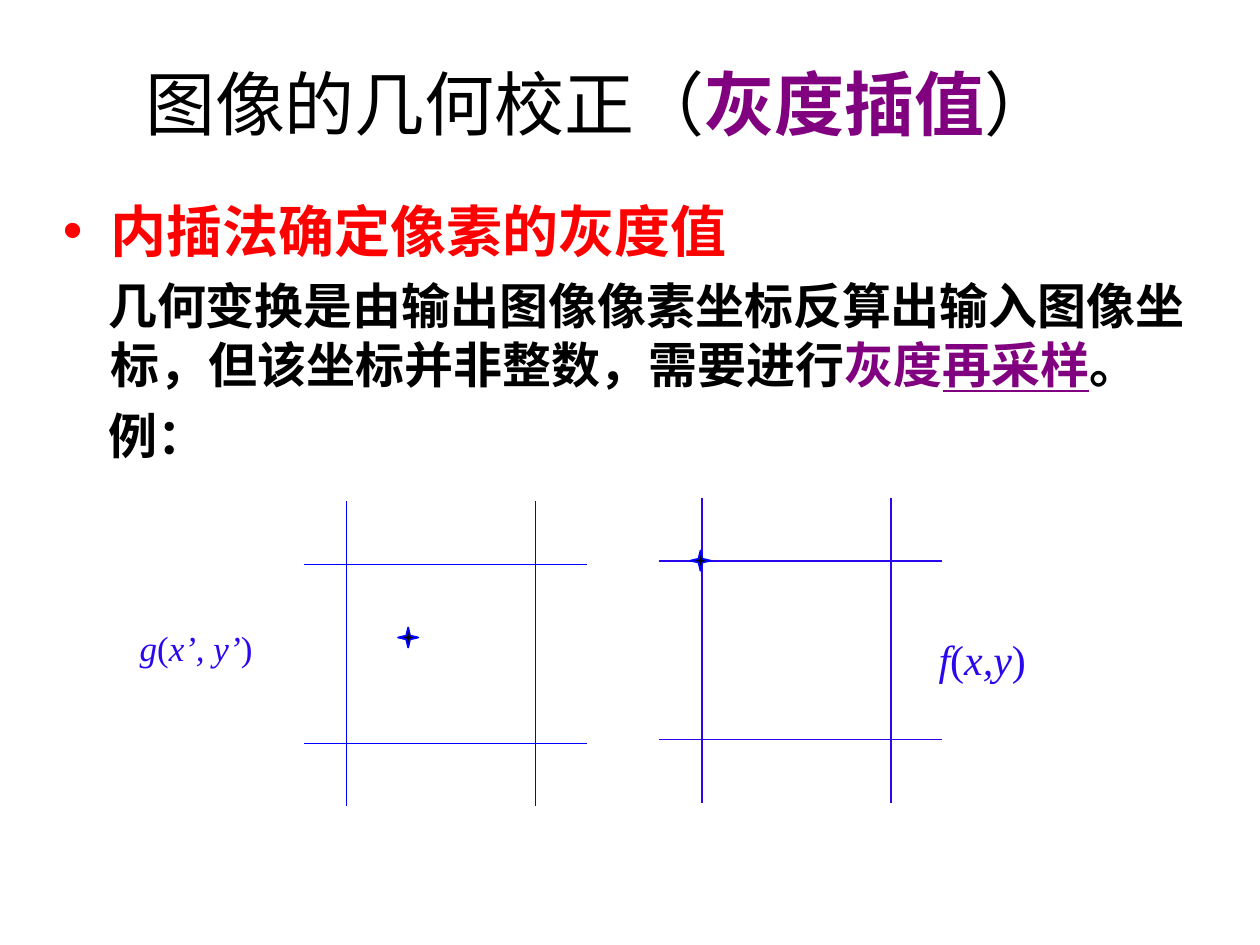
from lxml import etree
from pptx import Presentation
from pptx.dml.color import RGBColor
from pptx.enum.shapes import MSO_CONNECTOR
from pptx.enum.text import MSO_ANCHOR, PP_ALIGN
from pptx.oxml.ns import qn
from pptx.util import Inches, Pt

STRAIGHT = MSO_CONNECTOR.STRAIGHT
MIDDLE = MSO_ANCHOR.MIDDLE
CENTER, LEFT = PP_ALIGN.CENTER, PP_ALIGN.LEFT
BLACK, RED, PURPLE = "000000", "FF0000", "800080"
BLUE, INDIGO = "0000FF", "2908F0"
SANS, CJK, SERIF = "Calibri", "Noto Sans CJK SC", "Times New Roman"

# Content: runs are (text, options)
TITLE = [
    ("图像的几何校正（", dict(color=BLACK)),
    ("灰度插值", dict(color=PURPLE, bold=True)),
    ("）", dict(color=BLACK)),
]
BODY = [
    dict(size=32, bullet=RED, indent=-0.38, before=0,
         runs=[("内插法确定像素的灰度值", dict(color=RED))]),
    dict(size=28, indent=-0.02, before=7, runs=[
        ("几何变换是由输出图像像素坐标反算出输入图像坐标，但该坐标并非整数，需要进行",
         dict(color=BLACK)),
        ("灰度", dict(color=PURPLE)),
        ("再采样", dict(color=PURPLE, underline=True)),
        ("。", dict(color=BLACK)),
    ]),
    dict(size=28, indent=-0.02, before=7, runs=[("例：", dict(color=BLACK))]),
]
LABELS = [
    # box, size, runs as (text, italic)
    ((1.01, 4.92, 1.25, 0.44), 20,
     [("g", True), ("(", False), ("x’, y’", True), (")", False)]),
    ((7.35, 4.98, 0.98, 0.5), 24,
     [("f", True), ("(", False), ("x,y", True), (")", False)]),
]
GRIDS = [
    # left and top of the grid, line colour, star centre
    (2.41, 3.98, BLUE, (3.24, 5.06)),
    (5.23, 3.95, INDIGO, (5.56, 4.45)),
]
GRID_WIDTH, GRID_HEIGHT = 2.25, 2.42
COLUMNS, ROWS = (0.34, 1.84), (0.5, 1.92)
STAR_OUTER, STAR_INNER = 0.08, 0.015


def rgb(value):
    return RGBColor.from_string(value)


def add_box(left, top, width, height, wrap=True):
    box = page.shapes.add_textbox(*map(Inches, (left, top, width, height)))
    box.text_frame.word_wrap = wrap
    return box.text_frame


def add_runs(para, runs):
    for text, options in runs:
        span = para.add_run()
        span.text = text
        span.font.color.rgb = rgb(options["color"])
        for name in ("bold", "italic", "underline"):
            if name in options:
                setattr(span.font, name, options[name])
        east_asian = etree.SubElement(span.font._element.get_or_add_rPr()
                                      if hasattr(span.font._element, "get_or_add_rPr")
                                      else span.font._element, qn("a:ea"))
        east_asian.set("typeface", CJK)


def set_indent(para, indent, bullet=None):
    props = para._p.get_or_add_pPr()
    props.set("marL", str(Inches(0.38)))
    props.set("indent", str(Inches(indent)))
    if bullet:
        colour = etree.SubElement(props, qn("a:buClr"))
        etree.SubElement(colour, qn("a:srgbClr")).set("val", bullet)
        etree.SubElement(props, qn("a:buFont")).set("typeface", "Arial")
        etree.SubElement(props, qn("a:buChar")).set("char", "•")
    else:
        etree.SubElement(props, qn("a:buNone"))


def add_line(start, end, color):
    line = page.shapes.add_connector(STRAIGHT, *map(Inches, start + end))
    line.line.color.rgb = rgb(color)
    line.line.width = Pt(1)
    etree.SubElement(line._element.spPr, qn("a:effectLst"))


def add_star(x, y):
    a, b = STAR_OUTER, STAR_INNER
    offsets = [(-a, 0), (-b, -b), (0, -a), (b, -b), (a, 0), (b, b), (0, a), (-b, b)]
    points = [(Inches(x + dx), Inches(y + dy)) for dx, dy in offsets]
    builder = page.shapes.build_freeform(*points[0])
    builder.add_line_segments(points[1:], close=True)
    star = builder.convert_to_shape()
    star.shadow.inherit = False
    star.fill.solid()
    star.fill.fore_color.rgb = rgb(BLACK)
    star.line.color.rgb = rgb(BLUE)
    star.line.width = Pt(1)


deck = Presentation()
deck.slide_width, deck.slide_height = Inches(10), Inches(7.5)
page = deck.slides.add_slide(deck.slide_layouts[6])

# Pixel grids with the sampled point
for left, top, color, star_centre in GRIDS:
    for row in ROWS:
        add_line((left, top + row), (left + GRID_WIDTH, top + row), color)
    for column in COLUMNS:
        add_line((left + column, top), (left + column, top + GRID_HEIGHT), color)
    add_star(*star_centre)

# Function labels
for place, size, parts in LABELS:
    para = add_box(*place, wrap=False).paragraphs[0]
    para.alignment = LEFT
    para.font.size, para.font.name = Pt(size), SERIF
    add_runs(para, [(text, dict(color=INDIGO, italic=italic)) for text, italic in parts])

# Title
frame = add_box(0.26, 0.19, 9, 1.25)
frame.vertical_anchor = MIDDLE
para = frame.paragraphs[0]
para.alignment = CENTER
para.font.size, para.font.name = Pt(40), SANS
add_runs(para, TITLE)

# Body text
frame = add_box(0.4, 1.51, 9.38, 4.95)
for number, item in enumerate(BODY):
    para = frame.add_paragraph() if number else frame.paragraphs[0]
    para.space_before = Pt(item["before"])
    set_indent(para, item["indent"], item.get("bullet"))
    para.font.size, para.font.name, para.font.bold = Pt(item["size"]), SANS, True
    add_runs(para, item["runs"])

deck.save("out.pptx")
